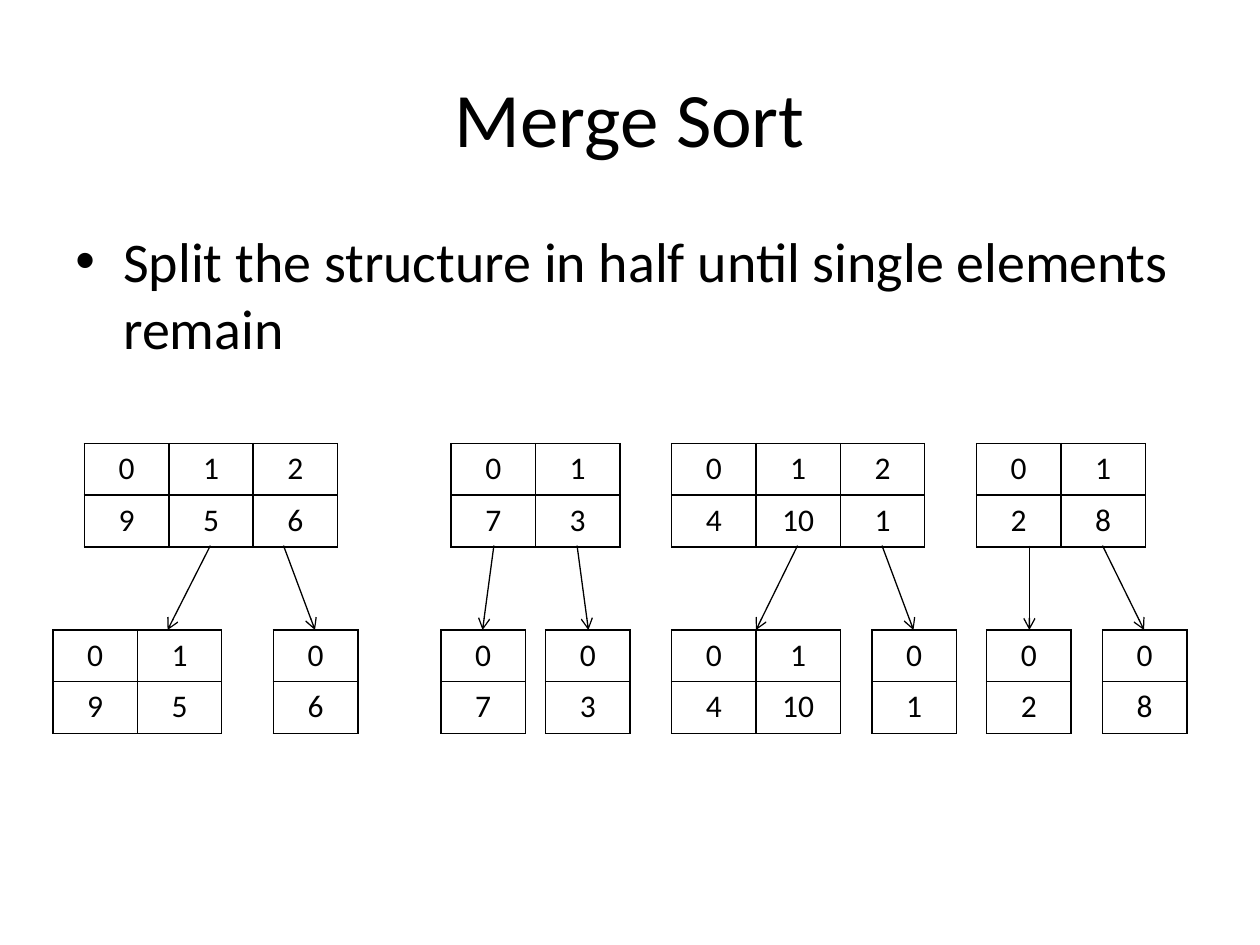
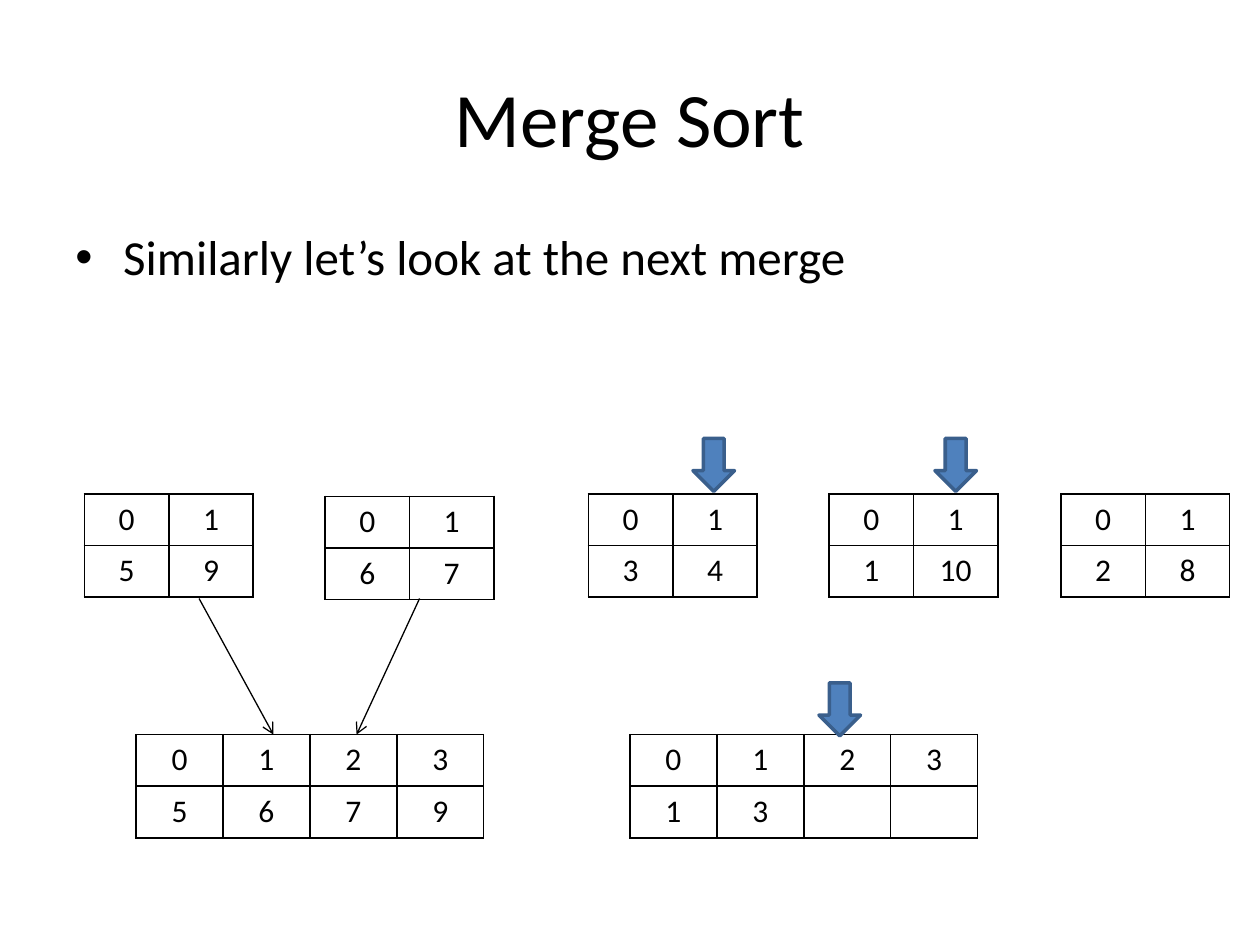
from dataclasses import dataclass

from lxml.etree import SubElement
from pptx import Presentation
from pptx.dml.color import RGBColor
from pptx.enum.shapes import MSO_CONNECTOR as Connector, MSO_SHAPE as Preset
from pptx.enum.text import MSO_ANCHOR as Anchor, PP_ALIGN as Align
from pptx.oxml.ns import qn
from pptx.slide import Slide
from pptx.util import Inches, Pt

FONT = "Calibri"
INK = "000000"
POINTER_FILL = "4F81BD"
POINTER_LINE = "3A5F8C"
TITLE = "Merge Sort"
ROW_HEIGHT = 0.41
PAIR_CELL = 0.67
MERGED_CELL = 0.69
POINTER_WIDTH, POINTER_HEIGHT = 0.33, 0.42


@dataclass(frozen=True)
class Array:
    left: float
    top: float
    values: tuple[str, ...]
    cell_width: float = PAIR_CELL


@dataclass(frozen=True)
class Arrow:
    start_x: float
    start_y: float
    end_x: float
    end_y: float


@dataclass(frozen=True)
class Pointer:
    left: float
    top: float


@dataclass(frozen=True)
class Step:
    bullet: str
    bullet_size: int
    arrays: tuple[Array, ...]
    arrows: tuple[Arrow, ...]
    pointers: tuple[Pointer, ...] = ()


def color(value: str) -> RGBColor:
    return RGBColor.from_string(value)


def add_run(paragraph, text: str, size: float) -> None:
    run = paragraph.add_run()
    run.text = text
    run.font.name = FONT
    run.font.size = Pt(size)
    run.font.color.rgb = color(INK)


def add_frame(slide: Slide, top: float, height: float, anchor: Anchor):
    box = slide.shapes.add_textbox(Inches(0.5), Inches(top), Inches(9), Inches(height))
    box.text_frame.word_wrap = True
    box.text_frame.vertical_anchor = anchor
    return box.text_frame.paragraphs[0]


def add_title(slide: Slide) -> None:
    heading = add_frame(slide, 0.3, 1.25, Anchor.MIDDLE)
    heading.alignment = Align.CENTER
    add_run(heading, TITLE, 44)


def add_bullet(slide: Slide, text: str, size: int) -> None:
    bullet = add_frame(slide, 1.75, 4.95, Anchor.TOP)
    bullet.space_before = Pt(size * 0.2)
    add_run(bullet, text, size)
    properties = bullet._p.get_or_add_pPr()
    properties.set("marL", str(Inches(0.38)))
    properties.set("indent", str(Inches(-0.38)))
    SubElement(properties, qn("a:buFont"), typeface="Arial")
    SubElement(properties, qn("a:buChar"), char="•")


def outline_cell(cell) -> None:
    properties = cell._tc.get_or_add_tcPr()
    for side in ("lnL", "lnR", "lnT", "lnB"):
        border = SubElement(properties, qn(f"a:{side}"), w=str(Pt(1)))
        fill = SubElement(border, qn("a:solidFill"))
        SubElement(fill, qn("a:srgbClr"), val=INK)


def add_array(slide: Slide, array: Array) -> None:
    count = len(array.values)
    table = slide.shapes.add_table(
        2, count, Inches(array.left), Inches(array.top),
        Inches(count * array.cell_width), Inches(2 * ROW_HEIGHT),
    ).table
    table.first_row = table.horz_banding = False
    for column in table.columns:
        column.width = Inches(array.cell_width)
    indices = tuple(str(index) for index in range(count))
    for row, texts in enumerate((indices, array.values)):
        table.rows[row].height = Inches(ROW_HEIGHT)
        for column, text in enumerate(texts):
            cell = table.cell(row, column)
            outline_cell(cell)
            cell.fill.background()
            if text:
                paragraph = cell.text_frame.paragraphs[0]
                paragraph.alignment = Align.CENTER
                add_run(paragraph, text, 18)


def add_arrow(slide: Slide, arrow: Arrow) -> None:
    connector = slide.shapes.add_connector(
        Connector.STRAIGHT, Inches(arrow.start_x), Inches(arrow.start_y),
        Inches(arrow.end_x), Inches(arrow.end_y),
    )
    connector.line.color.rgb = color(INK)
    connector.line.width = Pt(0.75)
    SubElement(connector.line._get_or_add_ln(), qn("a:tailEnd"), type="arrow")
    SubElement(connector._element.spPr, qn("a:effectLst"))


def add_pointer(slide: Slide, pointer: Pointer) -> None:
    marker = slide.shapes.add_shape(
        Preset.DOWN_ARROW, Inches(pointer.left), Inches(pointer.top),
        Inches(POINTER_WIDTH), Inches(POINTER_HEIGHT),
    )
    marker.shadow.inherit = False
    marker.fill.solid()
    marker.fill.fore_color.rgb = color(POINTER_FILL)
    marker.line.color.rgb = color(POINTER_LINE)
    marker.line.width = Pt(2)


def add_step(presentation, step: Step) -> None:
    slide = presentation.slides.add_slide(presentation.slide_layouts[6])
    add_title(slide)
    add_bullet(slide, step.bullet, step.bullet_size)
    for array in step.arrays:
        add_array(slide, array)
    for arrow in step.arrows:
        add_arrow(slide, arrow)
    for pointer in step.pointers:
        add_pointer(slide, pointer)


HALVES_TOP, SPLIT_TOP, HALVES_BOTTOM = 3.52, 5, 4.33
PAIRS_TOP, MERGED_TOP, PAIRS_BOTTOM = 3.92, 5.83, 4.75

SPLIT_STEP = Step(
    bullet="Split the structure in half until single elements remain",
    bullet_size=32,
    arrays=(
        Array(0.67, HALVES_TOP, ("9", "5", "6")),
        Array(3.58, HALVES_TOP, ("7", "3")),
        Array(5.33, HALVES_TOP, ("4", "10", "1")),
        Array(7.75, HALVES_TOP, ("2", "8")),
        Array(0.42, SPLIT_TOP, ("9", "5")),
        Array(2.17, SPLIT_TOP, ("6",)),
        Array(3.5, SPLIT_TOP, ("7",)),
        Array(4.33, SPLIT_TOP, ("3",)),
        Array(5.33, SPLIT_TOP, ("4", "10")),
        Array(6.92, SPLIT_TOP, ("1",)),
        Array(7.83, SPLIT_TOP, ("2",)),
        Array(8.75, SPLIT_TOP, ("8",)),
    ),
    arrows=tuple(
        Arrow(start, HALVES_BOTTOM, end, SPLIT_TOP)
        for start, end in (
            (1.67, 1.33), (2.25, 2.5), (3.92, 3.83), (4.58, 4.67),
            (6.33, 6), (7, 7.25), (8.17, 8.17), (8.75, 9.08),
        )
    ),
)

MERGE_STEP = Step(
    bullet="Similarly let’s look at the next merge",
    bullet_size=28,
    arrays=(
        Array(0.67, PAIRS_TOP, ("5", "9")),
        Array(2.58, 3.94, ("6", "7")),
        Array(4.67, PAIRS_TOP, ("3", "4")),
        Array(6.58, PAIRS_TOP, ("1", "10")),
        Array(8.42, PAIRS_TOP, ("2", "8")),
        Array(1.08, MERGED_TOP, ("5", "6", "7", "9"), MERGED_CELL),
        Array(5, MERGED_TOP, ("1", "3", "", ""), MERGED_CELL),
    ),
    arrows=(
        Arrow(1.58, PAIRS_BOTTOM, 2.17, MERGED_TOP),
        Arrow(3.33, PAIRS_BOTTOM, 2.83, MERGED_TOP),
    ),
    pointers=(Pointer(5.5, 3.48), Pointer(7.42, 3.48), Pointer(6.5, 5.42)),
)


def main() -> None:
    presentation = Presentation()
    presentation.slide_width = Inches(10)
    presentation.slide_height = Inches(7.5)
    for step in (SPLIT_STEP, MERGE_STEP):
        add_step(presentation, step)
    presentation.save("out.pptx")


if __name__ == "__main__":
    main()
